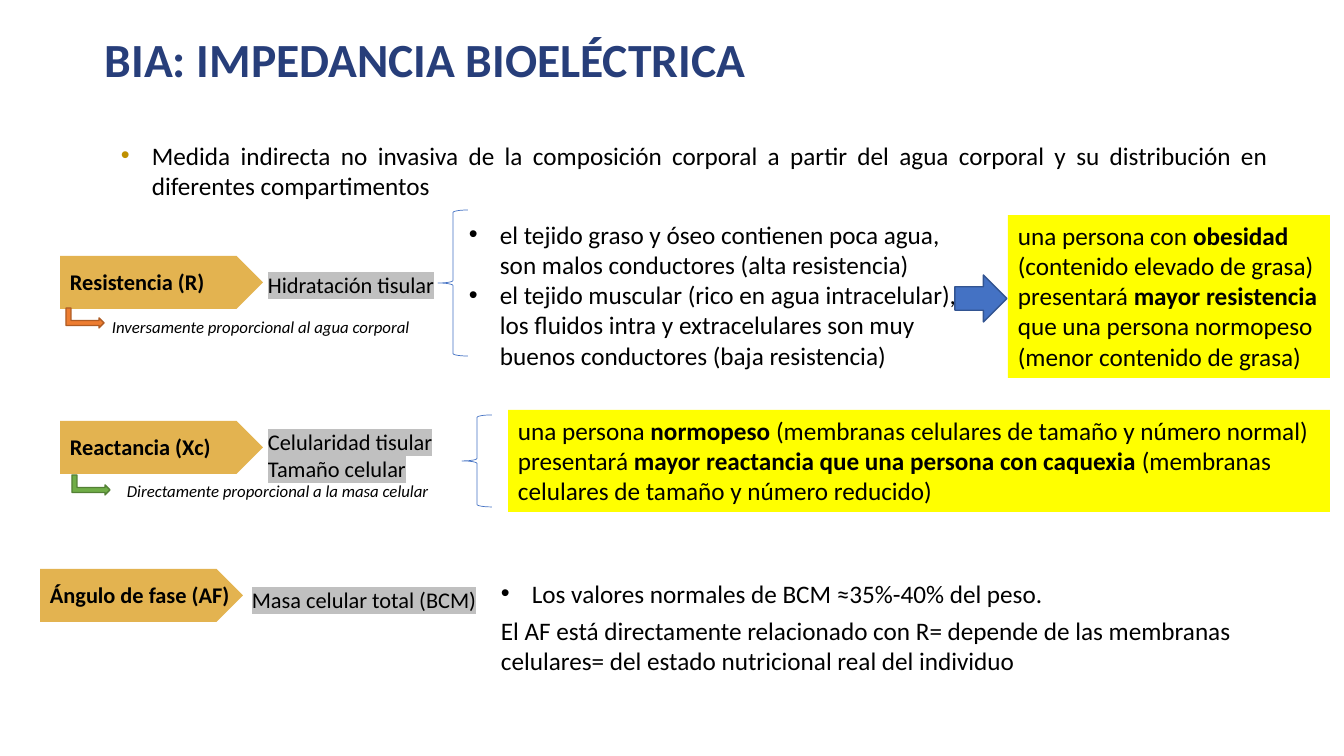
"""Build the slide on bioelectrical impedance analysis."""
import pptx
import pptx.dml.color
import pptx.enum.shapes
import pptx.enum.text
import pptx.oxml.ns
import pptx.util
from lxml import etree

SHAPE = pptx.enum.shapes.MSO_SHAPE
ALIGN = pptx.enum.text.PP_ALIGN
ANCHOR = pptx.enum.text.MSO_ANCHOR
FIT = pptx.enum.text.MSO_AUTO_SIZE
YELLOW, GOLD, BLUE, GRAY = "FFFF00", "E3B350", "4472C4", "C0C0C0"


def px(length):
    return pptx.util.Emu(round(length * 914400 / 100.8))


def color(code):
    return pptx.dml.color.RGBColor.from_string(code)


def add_tag(parent, name, **attributes):
    return etree.SubElement(parent, pptx.oxml.ns.qn(name), attributes)


def add_bullet(para, bullet_color, indent):
    props = para._p.get_or_add_pPr()
    props.set("marL", str(px(indent)))
    props.set("indent", str(-px(31)))
    add_tag(add_tag(props, "a:buClr"), "a:srgbClr", val=bullet_color)
    add_tag(props, "a:buFont", typeface="Arial")
    add_tag(props, "a:buChar", char="•")


def write(box, text, size=18, ink="000000", bold=False, italic=False, wrap=True, fit=True,
          align=ALIGN.LEFT, anchor=ANCHOR.TOP, spacing=None, bullet=None, indent=31, highlight=None):
    frame = box.text_frame
    frame.word_wrap = wrap
    frame.auto_size = FIT.SHAPE_TO_FIT_TEXT if fit else FIT.NONE
    frame.vertical_anchor = anchor
    for number, line in enumerate(text.split("\n")):
        para = frame.add_paragraph() if number else frame.paragraphs[0]
        para.alignment = align
        if spacing:
            para.line_spacing = spacing
        if bullet:
            add_bullet(para, bullet, indent)
        for position, part in enumerate(line.split("**")):
            span = para.add_run()
            span.text = part
            span.font.size = pptx.util.Pt(size)
            span.font.bold = bold or position % 2 == 1
            span.font.italic = italic
            span.font.color.rgb = color(ink)
            if highlight:
                mark = add_tag(span._r.get_or_add_rPr(), "a:highlight")
                add_tag(mark, "a:srgbClr", val=highlight)
            span.font.name = "Calibri"


class Slide:
    def __init__(self, deck):
        self.page = deck.slides.add_slide(deck.slide_layouts[6])

    def text(self, x, y, width, height, text, **style):
        box = self.page.shapes.add_textbox(px(x), px(y), px(width), px(height))
        write(box, text, **style)

    def shape(self, kind, x, y, width, height, fill=None, line=None, weight=1, turn=0):
        shape = self.page.shapes.add_shape(kind, px(x), px(y), px(width), px(height))
        shape.shadow.inherit = False
        shape.rotation = turn
        if fill:
            shape.fill.solid()
            shape.fill.fore_color.rgb = color(fill)
        else:
            shape.fill.background()
        if line:
            shape.line.color.rgb = color(line)
            shape.line.width = pptx.util.Pt(weight)
        else:
            shape.line.fill.background()
        return shape

    def tag(self, x, y, width, text):
        self.shape(SHAPE.PENTAGON, x, y, 203, 53, GOLD)
        self.text(x, y + 7, width, 37, text, size=16, bold=True, wrap=False)

    def note(self, x, y, width, text):
        self.text(x, y, width, 30, text, size=12, italic=True, wrap=False)

    def meaning(self, x, y, width, height, text):
        self.text(x, y, width, height, text, size=16, wrap=False, highlight=GRAY)

    def turn_arrow(self, x, y, fill, line):
        self.shape(SHAPE.BENT_UP_ARROW, x, y, 20, 38, fill, line, turn=90)

    def brace(self, x, y, height):
        self.shape(SHAPE.LEFT_BRACE, x, y, 30, height, line=BLUE, weight=0.5)

    def callout(self, x, y, width, height, text):
        write(self.shape(SHAPE.RECTANGLE, x, y, width, height, YELLOW), text)


def main():
    deck = pptx.Presentation()
    deck.slide_width, deck.slide_height = px(1344), px(756)
    slide = Slide(deck)

    slide.text(95, -11, 1249, 146, "BIA: IMPEDANCIA BIOELÉCTRICA", size=34, ink="273E7A",
               bold=True, fit=False, anchor=ANCHOR.MIDDLE, spacing=0.9)
    slide.text(80, 135, 1198, 71, "Medida indirecta no invasiva de la composición corporal a partir del "
               "agua corporal y su distribución en diferentes compartimentos",
               align=ALIGN.JUSTIFY, bullet="BF9000", indent=62)

    slide.tag(60, 256, 156, "Resistencia (R)")
    slide.tag(60, 421, 163, "Reactancia (Xc)")
    slide.tag(40, 569, 203, "Ángulo de fase (AF)")
    slide.meaning(258, 266, 188, 37, "Hidratación tisular")
    slide.meaning(258, 423, 186, 64, "Celularidad tisular\nTamaño celular")
    slide.meaning(242, 581, 247, 37, "Masa celular total (BCM)")
    slide.note(102, 312, 320, "Inversamente proporcional al agua corporal")
    slide.note(117, 476, 325, "Directamente proporcional a la masa celular")
    slide.turn_arrow(75, 299, "ED7D31", "AF5C24")
    slide.turn_arrow(81, 466, "70AD47", "538035")

    slide.text(459, 214, 527, 163, "el tejido graso y óseo contienen poca agua, son malos conductores "
               "(alta resistencia)\nel tejido muscular (rico en agua intracelular), los fluidos intra y "
               "extracelulares son muy buenos conductores (baja resistencia)", bullet="000000")
    slide.brace(438, 210, 146)
    slide.callout(508, 410, 822, 102, "una persona **normopeso** (membranas celulares de tamaño y número "
                  "normal) presentará **mayor reactancia que una persona con caquexia **(membranas "
                  "celulares de tamaño y número reducido)")
    slide.brace(462, 415, 92)
    slide.callout(1008, 215, 322, 163, "una persona con **obesidad **(contenido elevado de grasa) presentará "
                  "**mayor resistencia **que una persona normopeso (menor contenido de grasa)")
    slide.shape(SHAPE.RIGHT_ARROW, 955, 275, 52, 47, BLUE, "325491")

    slide.text(491, 610, 840, 71, "El AF está directamente relacionado con R= depende de las membranas "
               "celulares= del estado nutricional real del individuo")
    slide.text(491, 573, 853, 40, "Los valores normales de BCM ≈35%-40% del peso.", bullet="000000")
    deck.save("out.pptx")


if __name__ == "__main__":
    main()
